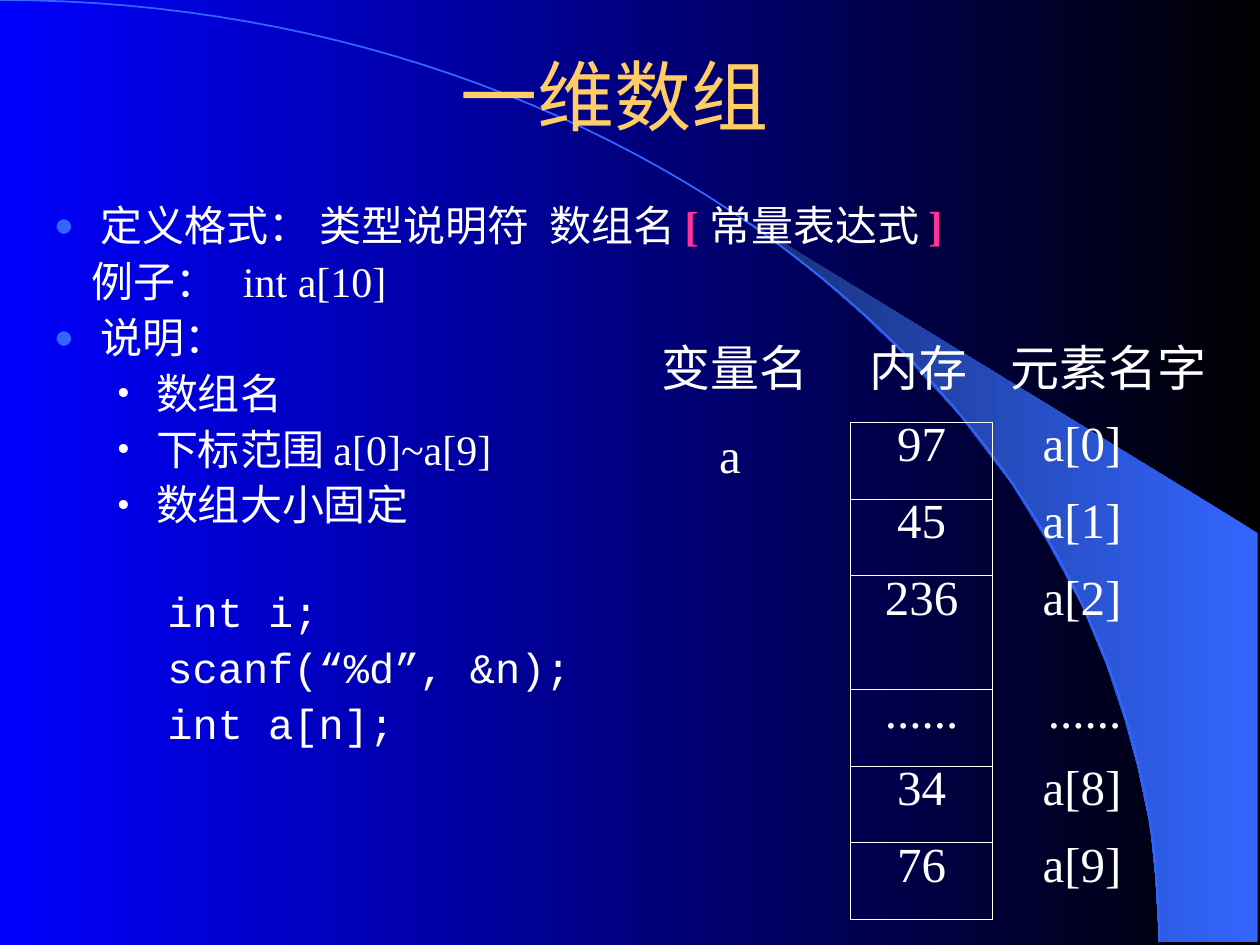
from lxml import etree
from pptx import Presentation
from pptx.dml.color import RGBColor
from pptx.enum.text import MSO_ANCHOR, MSO_AUTO_SIZE, PP_ALIGN
from pptx.oxml.ns import qn
from pptx.util import Inches, Pt

LEFT, MID, RIGHT = PP_ALIGN.LEFT, PP_ALIGN.CENTER, PP_ALIGN.RIGHT
TOP, CENTER = MSO_ANCHOR.TOP, MSO_ANCHOR.MIDDLE
FIXED, GROW = MSO_AUTO_SIZE.NONE, MSO_AUTO_SIZE.SHAPE_TO_FIT_TEXT
WHITE = RGBColor(0xFF, 0xFF, 0xFF)
BLACK = RGBColor(0x00, 0x00, 0x00)
BLUE = RGBColor(0x00, 0x00, 0xFF)
SKY = RGBColor(0x33, 0x66, 0xFF)
NAVY = RGBColor(0x18, 0x2F, 0x76)
GOLD = RGBColor(0xFF, 0xCC, 0x66)
PINK = RGBColor(0xFF, 0x33, 0x99)
SERIF, MONO, SANS = "Times New Roman", "Courier New", "Arial"
PLAIN = "{2D5ABB26-0587-4C30-8999-92F81FD0307C}"  # table style without grid

# Content
TITLE = "一维数组"
# Paragraph kinds: left margin, first indent, bullet, colour, size %, font, tab
KINDS = {
    "main": (0.37, -0.37, "●", SKY, 80, SERIF, 3.93),
    "case": (0, 0.3, None, None, None, SERIF, 1.56),
    "sub": (0.81, -0.31, "•", WHITE, 90, SERIF, None),
    "code": (0.9, 0, None, None, None, MONO, None),
}
# Kind, space before, runs; pink runs are bold
BODY = [
    ("main", 0, [("定义格式： 类型说明符\t数组名 ", WHITE), ("[ ", PINK),
                 ("常量表达式 ", WHITE), ("]", PINK)]),
    ("case", 6, [("例子：\tint a[10]", WHITE)]),
    ("main", 6, [("说明：", WHITE)]),
    ("sub", 6, [("数组名", WHITE)]),
    ("sub", 6, [("下标范围 a[0]~a[9]", WHITE)]),
    ("sub", 6, [("数组大小固定", WHITE)]),
    ("code", 35, [("int i;", WHITE)]),
    ("code", 6, [("scanf(“%d”, &n);", WHITE)]),
    ("code", 6, [("int a[n];", WHITE)]),
]
CELLS = [("97", "a[0]"), ("45", "a[1]"), ("236", "a[2]"),
         ("......", "......"), ("34", "a[8]"), ("76", "a[9]")]
COLS = [1.13, 1.12]
ROWS = [0.61, 0.61, 0.9, 0.61, 0.61, 0.61]
LABELS = [("变量名", 5.15, 2.63, 1.4), ("内存", 6.8, 2.63, 1),
          ("元素名字", 7.92, 2.63, 1.78), ("a", 5.61, 3.32, 0.38)]
WEDGE = [(9.2, 7.48), (9.98, 7.48), (9.98, 4.23), (5.89, 1.73), (6.24, 1.99),
         (6.53, 2.22), (6.85, 2.5), (7.16, 2.8), (7.62, 3.3), (8.03, 3.84),
         (8.32, 4.31), (8.58, 4.79), (8.78, 5.27), (8.93, 5.72),
         (9.03, 6.09), (9.13, 6.56), (9.17, 6.96)]
CURVE = [(0, 0), (5.08, 0), (9.2, 3.35), (9.2, 7.48)]
STEPS = 60


def style(font, size, name, color, bold=False):
    font.size, font.name, font.bold = Pt(size), name, bold
    font.color.rgb = color


def shade(fill, start, end):
    fill.gradient()
    fill.gradient_angle = 180
    for stop, color in zip(fill.gradient_stops, (start, end)):
        stop.color.rgb = color


def bezier(t):
    weights = ((1 - t) ** 3, 3 * t * (1 - t) ** 2, 3 * t * t * (1 - t), t ** 3)
    return tuple(sum(w * p[i] for w, p in zip(weights, CURVE)) for i in (0, 1))


def outline(slide, points, close):
    dots = [(Inches(x), Inches(y)) for x, y in points]
    pen = slide.shapes.build_freeform(*dots[0])
    pen.add_line_segments(dots[1:], close=close)
    shape = pen.convert_to_shape()
    shape.shadow.inherit = False
    return shape


def add_box(slide, x, y, w, h, anchor=TOP, wrap=True):
    box = slide.shapes.add_textbox(Inches(x), Inches(y), Inches(w), Inches(h))
    frame = box.text_frame
    frame.word_wrap, frame.vertical_anchor = wrap, anchor
    frame.auto_size = FIXED if wrap else GROW
    return frame


def add_label(slide, text, place, size, name, color, align=LEFT, **opts):
    para = add_box(slide, *place, **opts).paragraphs[0]
    para.text, para.alignment = text, align
    style(para.runs[0].font, size, name, color)


def format_para(para, margin, indent, mark, color, scale, tab):
    props = para._p.get_or_add_pPr()
    props.set("marL", str(Inches(margin)))
    props.set("indent", str(Inches(indent)))
    if mark:
        tint = etree.SubElement(props, qn("a:buClr"))
        etree.SubElement(tint, qn("a:srgbClr"), val=str(color))
        etree.SubElement(props, qn("a:buSzPct"), val=str(scale * 1000))
        etree.SubElement(props, qn("a:buFont"), typeface=SERIF)
        etree.SubElement(props, qn("a:buChar"), char=mark)
    else:
        etree.SubElement(props, qn("a:buNone"))
    if tab:
        tabs = etree.SubElement(props, qn("a:tabLst"))
        etree.SubElement(tabs, qn("a:tab"), pos=str(Inches(tab)), algn="l")


def add_body(slide):
    frame = add_box(slide, 0.33, 1.58, 9.75, 1.42)
    for i, (kind, gap, runs) in enumerate(BODY):
        para = frame.add_paragraph() if i else frame.paragraphs[0]
        margin, indent, mark, color, scale, name, tab = KINDS[kind]
        format_para(para, margin, indent, mark, color, scale,
                    tab if "\t" in runs[0][0] else None)
        para.line_spacing, para.space_before = 0.9, Pt(gap)
        for text, ink in runs:
            run = para.add_run()
            run.text = text
            style(run.font, 24, name, ink, ink == PINK)


def frame_cell(cell):
    props = cell._tc.get_or_add_tcPr()
    for side in ("lnL", "lnR", "lnT", "lnB"):
        line = etree.SubElement(props, qn("a:" + side), w=str(Pt(0.5)))
        fill = etree.SubElement(line, qn("a:solidFill"))
        etree.SubElement(fill, qn("a:srgbClr"), val=str(WHITE))


def add_memory(slide):
    table = slide.shapes.add_table(
        len(ROWS), len(COLS), Inches(6.75), Inches(3.35),
        Inches(sum(COLS)), Inches(sum(ROWS))).table
    table.first_row = table.horz_banding = False
    table._tbl.tblPr.find(qn("a:tableStyleId")).text = PLAIN
    for col, width in zip(table.columns, COLS):
        col.width = Inches(width)
    for r, (row, height) in enumerate(zip(table.rows, ROWS)):
        row.height = Inches(height)
        for c, align in enumerate((MID, RIGHT)):
            cell = table.cell(r, c)
            if c == 0:
                frame_cell(cell)
            cell.fill.background()
            para = cell.text_frame.paragraphs[0]
            para.text, para.alignment = CELLS[r][c], align
            para.line_spacing = 0.76
            style(para.runs[0].font, 28, SERIF, WHITE)


def main():
    deck = Presentation()
    deck.slide_width, deck.slide_height = Inches(10), Inches(7.5)
    slide = deck.slides.add_slide(deck.slide_layouts[6])

    # Backdrop
    shade(slide.background.fill, BLACK, BLUE)
    wedge = outline(slide, WEDGE, True)
    shade(wedge.fill, SKY, NAVY)
    wedge.line.fill.background()
    arc = outline(slide, [bezier(i / STEPS) for i in range(STEPS + 1)], False)
    arc.fill.background()
    arc.line.color.rgb, arc.line.width = SKY, Pt(1)

    # Title, text and memory diagram
    add_label(slide, TITLE, (2.75, 0.42, 4.25, 0.67), 44, SANS, GOLD, MID,
              anchor=CENTER)
    add_body(slide)
    add_memory(slide)
    for text, x, y, w in LABELS:
        add_label(slide, text, (x, y, w, 0.57), 28, SERIF, WHITE, wrap=False)
    deck.save("out.pptx")


if __name__ == "__main__":
    main()
